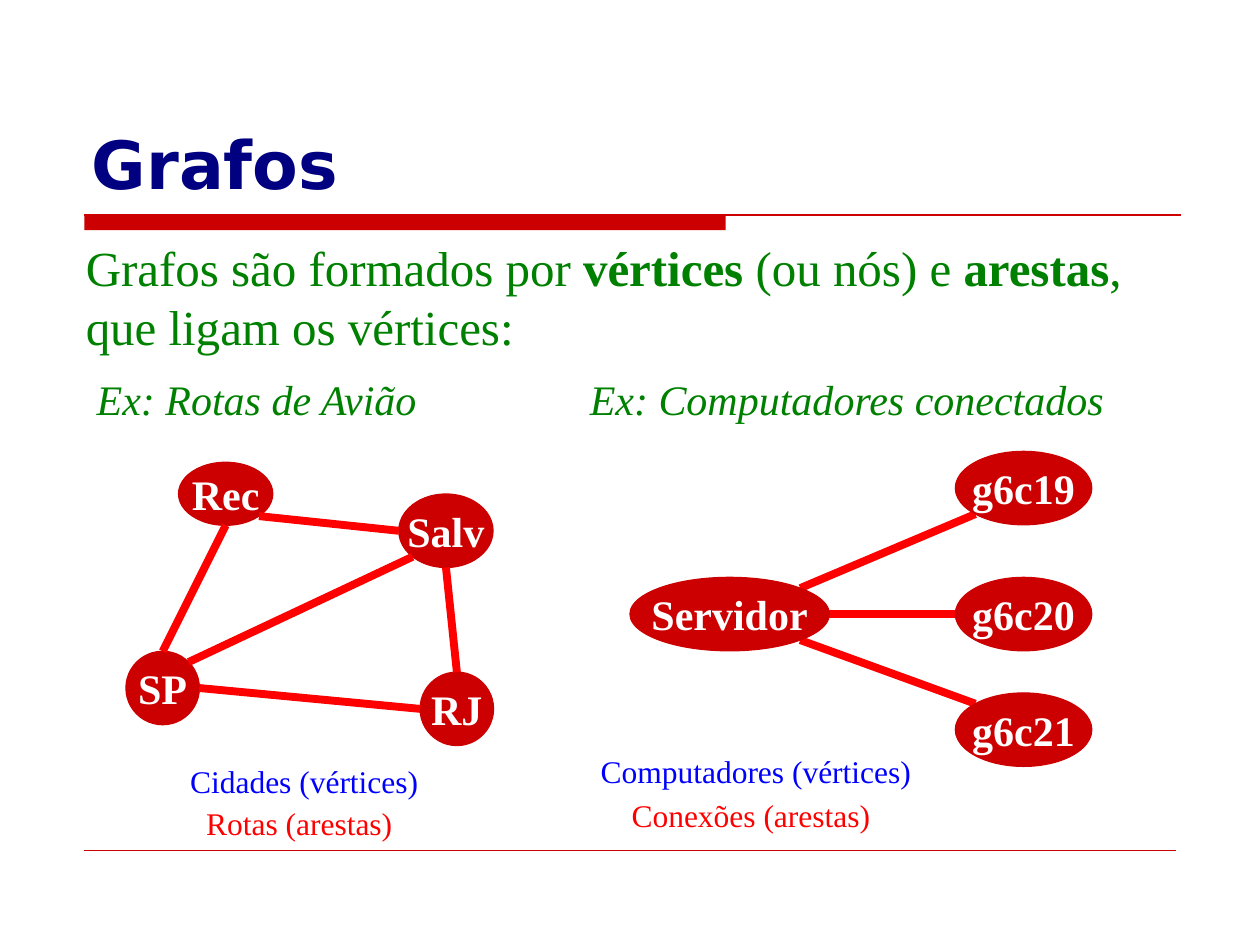
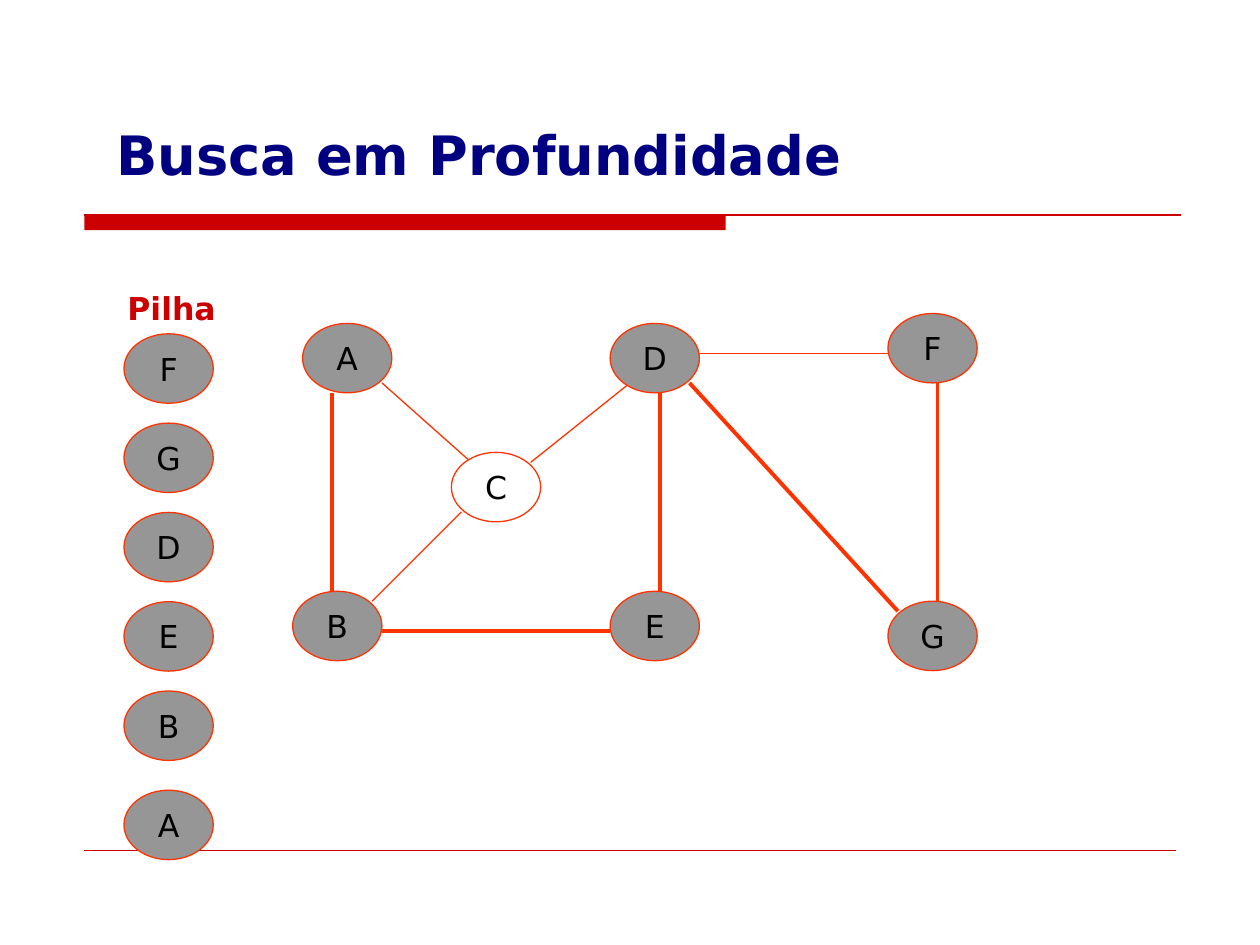
from math import cos, radians, sin

from lxml import etree
from pptx import Presentation
from pptx.dml.color import RGBColor
from pptx.enum.shapes import MSO_CONNECTOR, MSO_SHAPE
from pptx.enum.text import MSO_ANCHOR, PP_ALIGN
from pptx.oxml.ns import qn
from pptx.util import Cm, Pt

OVAL, RECT = MSO_SHAPE.OVAL, MSO_SHAPE.RECTANGLE
LINE = MSO_CONNECTOR.STRAIGHT
LEFT, CENTER = PP_ALIGN.LEFT, PP_ALIGN.CENTER
TOP, MIDDLE, BOTTOM = MSO_ANCHOR.TOP, MSO_ANCHOR.MIDDLE, MSO_ANCHOR.BOTTOM

NAVY = RGBColor(0x00, 0x00, 0x80)
GREEN = RGBColor(0x00, 0x80, 0x00)
BLUE = RGBColor(0x00, 0x00, 0xFF)
RED = RGBColor(0xFF, 0x00, 0x00)
DARK = RGBColor(0xCC, 0x00, 0x00)
ORANGE = RGBColor(0xFF, 0x33, 0x00)
GRAY = RGBColor(0x96, 0x96, 0x96)
WHITE = RGBColor(0xFF, 0xFF, 0xFF)
BLACK = RGBColor(0x00, 0x00, 0x00)

SANS, SERIF = "DejaVu Sans", "Times New Roman"
OVAL_W, OVAL_H = 1.8, 1.4

# Angles, clockwise from the right, of the points where edges meet an oval
SITES = {"e": 0, "se": 45, "s": 90, "sw": 135, "w": 180, "ne": 315, "n": 270, "nw": 225}


def style(run, font, size, color, bold=False, italic=False):
    run.font.name = font
    run.font.size = Pt(size)
    run.font.color.rgb = color
    run.font.bold = bold
    run.font.italic = italic


def add_text(slide, box, text, font, size, color, bold=False, italic=False,
             align=LEFT, anchor=TOP):
    frame = slide.shapes.add_textbox(*map(Cm, box)).text_frame
    frame.word_wrap = True
    frame.vertical_anchor = anchor
    para = frame.paragraphs[0]
    para.text = text
    para.alignment = align
    style(para.runs[0], font, size, color, bold, italic)
    return para


def add_line(slide, start, end, color, width):
    line = slide.shapes.add_connector(LINE, *map(Cm, (*start, *end)))
    line.line.color.rgb = color
    line.line.width = Pt(width)
    etree.SubElement(line._element.spPr, qn("a:effectLst"))


def add_oval(slide, box, text, fill, edge, font, size, color, bold=False):
    oval = slide.shapes.add_shape(OVAL, *map(Cm, box))
    oval.shadow.inherit = False
    oval.fill.solid()
    oval.fill.fore_color.rgb = fill
    oval.line.color.rgb = edge
    oval.line.width = Pt(0.75)
    frame = oval.text_frame
    frame.word_wrap = False
    frame.vertical_anchor = MIDDLE
    para = frame.paragraphs[0]
    para.text = text
    para.alignment = CENTER
    style(para.runs[0], font, size, color, bold)


def add_frame(slide, title, box, size):
    """Title, red band below it and thin rule at the foot."""
    band = slide.shapes.add_shape(RECT, Cm(1.7), Cm(4.34), Cm(12.93), Cm(0.3))
    band.shadow.inherit = False
    band.fill.solid()
    band.fill.fore_color.rgb = DARK
    band.line.fill.background()
    add_line(slide, (1.7, 4.34), (23.8, 4.34), DARK, 1)
    add_line(slide, (1.7, 17.15), (23.7, 17.15), DARK, 0.25)
    add_text(slide, box, title, SANS, size, NAVY, bold=True, anchor=BOTTOM)


def shift(origin, point):
    return origin[0] + point[0], origin[1] + point[1]


def site(box, side):
    left, top, width, height = box
    turn = radians(SITES[side])
    return left + width / 2 * (1 + cos(turn)), top + height / 2 * (1 + sin(turn))


def add_nodes(slide, origin, nodes):
    for name, box in nodes.items():
        add_oval(slide, (*shift(origin, box), *box[2:]), name,
                 DARK, DARK, SERIF, 24, WHITE, bold=True)


def add_edges(slide, origin, nodes, edges):
    for a, side_a, b, side_b in edges:
        add_line(slide, shift(origin, site(nodes[a], side_a)),
                 shift(origin, site(nodes[b], side_b)), RED, 4.5)


def add_routes(slide, origin):
    nodes = {
        "Rec": (1.06, 0, 1.9, 1.27),
        "SP": (0, 3.81, 1.48, 1.48),
        "Salv": (5.5, 0.64, 1.9, 1.48),
        "RJ": (5.93, 4.23, 1.48, 1.48),
    }
    edges = [
        ("Rec", "s", "SP", "n"),
        ("Rec", "se", "Salv", "w"),
        ("Salv", "sw", "SP", "ne"),
        ("Salv", "s", "RJ", "n"),
        ("SP", "e", "RJ", "w"),
    ]
    add_nodes(slide, origin, nodes)
    add_edges(slide, origin, nodes, edges)


def add_network(slide, origin):
    hosts = {"g6c19": 0, "g6c20": 2.54, "g6c21": 4.87}
    nodes = {name: (6.56, y, 2.75, 1.48) for name, y in hosts.items()}
    nodes["Servidor"] = (0, 2.54, 4.02, 1.48)
    edges = [
        ("g6c19", "sw", "Servidor", "ne"),
        ("g6c20", "w", "Servidor", "e"),
        ("g6c21", "nw", "Servidor", "se"),
    ]
    add_edges(slide, origin, nodes, edges)
    add_nodes(slide, origin, nodes)


def add_intro(slide, box):
    para = add_text(slide, box, "Grafos são formados por ", SERIF, 28, GREEN)
    for text, bold in [("vértices", True), (" (ou nós) e ", False),
                       ("arestas", True), (", que ligam os vértices:", False)]:
        run = para.add_run()
        run.text = text
        style(run, SERIF, 28, GREEN, bold)


def graph_slide(slide):
    add_frame(slide, "Grafos", (1.6, 0.84, 22.22, 3.38), 38)
    add_intro(slide, (1.48, 4.66, 22.43, 2.64))
    for text, left, width in [("Ex: Rotas de Avião", 1.7, 7.4),
                              ("Ex: Computadores conectados", 11.64, 11)]:
        add_text(slide, (left, 7.41, width, 1.27), text, SERIF, 24, GREEN, italic=True)
    add_routes(slide, (2.54, 9.32))
    add_network(slide, (12.7, 9.1))
    for text, left, top, width, color in [
        ("Cidades (vértices)", 2.96, 15.24, 6.35, BLUE),
        ("Rotas (arestas)", 3.6, 16.09, 4.87, RED),
        ("Computadores (vértices)", 11.64, 15.03, 7.2, BLUE),
        ("Conexões (arestas)", 12.07, 15.93, 6.14, RED),
    ]:
        add_text(slide, (left, top, width, 1.02), text, SERIF, 18, color, align=CENTER)


def add_vertex(slide, origin, point, name, fill=GRAY):
    add_oval(slide, (*shift(origin, point), OVAL_W, OVAL_H), name,
             fill, ORANGE, SANS, 18, BLACK)


def add_search(slide, origin):
    thin = [
        ((1.8, 1.4), (3.6, 3)),
        ((4.8, 3), (6.8, 1.4)),
        ((3.4, 4), (1.6, 5.8)),
        ((8.2, 0.8), (12, 0.8)),
    ]
    visited = [
        ((1.8, 6.4), (6.4, 6.4)),
        ((7.4, 1.6), (7.4, 5.6)),
        ((0.8, 1.6), (0.8, 5.6)),
        ((13, 1.4), (13, 5.8)),
        ((8, 1.4), (12.2, 6)),
    ]
    for lines, width in [(thin, 0.75), (visited, 2.25)]:
        for start, end in lines:
            add_line(slide, shift(origin, start), shift(origin, end), ORANGE, width)
    spots = {"A": (0.2, 0.2), "B": (0, 5.6), "C": (3.2, 2.8), "D": (6.4, 0.2),
             "E": (6.4, 5.6), "F": (12, 0), "G": (12, 5.8)}
    for name, spot in spots.items():
        add_vertex(slide, origin, spot, name, WHITE if name == "C" else GRAY)


def add_stack(slide, origin):
    add_text(slide, (*shift(origin, (-0.54, -1.02)), 3, 1.02), "Pilha",
             SANS, 18, DARK, bold=True, align=CENTER)
    for row, name in enumerate("FGDEB"):
        add_vertex(slide, origin, (0, row * OVAL_W), name)
    add_vertex(slide, origin, (0, 9.2), "A")


def search_slide(slide):
    add_frame(slide, "Busca em Profundidade", (2.1, 0.53, 22.22, 3.35), 31)
    add_search(slide, (5.9, 6.32))
    add_stack(slide, (2.5, 6.73))


def main():
    deck = Presentation()
    deck.slide_width, deck.slide_height = Cm(25.4), Cm(19.05)
    for build in (graph_slide, search_slide):
        build(deck.slides.add_slide(deck.slide_layouts[6]))
    deck.save("out.pptx")


if __name__ == "__main__":
    main()
